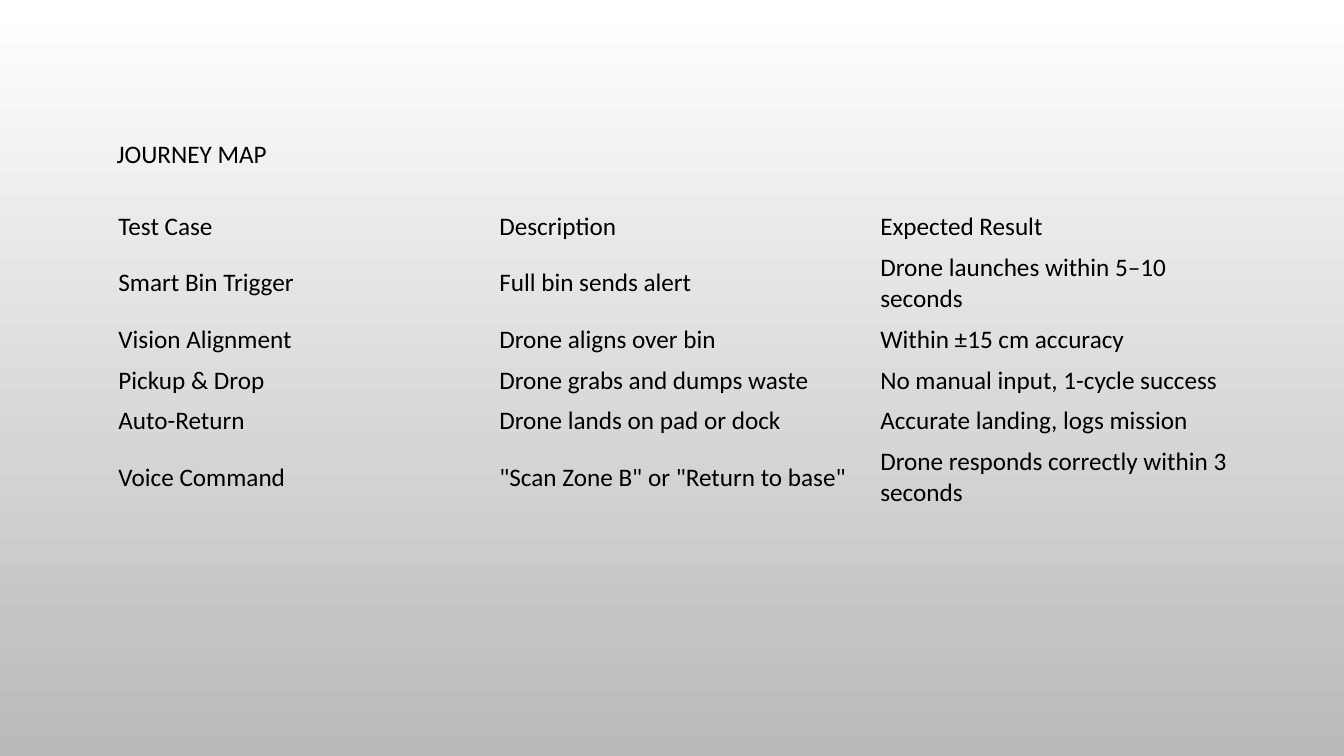
from pptx import Presentation
from pptx.dml.color import RGBColor
from pptx.enum.text import MSO_ANCHOR, MSO_AUTO_SIZE
from pptx.oxml.ns import qn
from pptx.util import Cm, Pt

BLACK = RGBColor(0x00, 0x00, 0x00)
WHITE = RGBColor(0xFF, 0xFF, 0xFF)
GREY = RGBColor(0xB9, 0xB9, 0xB9)
NO_STYLE_NO_GRID = "{2D5ABB26-0587-4C30-8999-92F81FD0307C}"
LINE_HEIGHT = 0.78
ROW_PADDING = 0.25

TEST_CASES = [
    ("Test Case", "Description", "Expected Result"),
    ("Smart Bin Trigger", "Full bin sends alert", "Drone launches within 5–10 seconds"),
    ("Vision Alignment", "Drone aligns over bin", "Within ±15 cm accuracy"),
    ("Pickup & Drop", "Drone grabs and dumps waste", "No manual input, 1-cycle success"),
    ("Auto-Return", "Drone lands on pad or dock", "Accurate landing, logs mission"),
    ("Voice Command", '"Scan Zone B" or "Return to base"', "Drone responds correctly within 3 seconds"),
]
LINES_PER_ROW = [1, 2, 1, 1, 1, 2]


def write(frame, text, font="Calibri", size=18, color=BLACK):
    paragraph = frame.paragraphs[0]
    run = paragraph.add_run()
    run.text = text
    run.font.name = font
    run.font.size = Pt(size)
    run.font.color.rgb = color


class SlideBuilder:
    def __init__(self, slide, font, size, color):
        self.slide = slide
        self.text_format = {"font": font, "size": size, "color": color}

    def background(self, top_color, bottom_color):
        fill = self.slide.background.fill
        fill.gradient()
        fill.gradient_angle = 270
        for stop, position, color in zip(fill.gradient_stops, (0, 1), (top_color, bottom_color)):
            stop.position = position
            stop.color.rgb = color

    def heading(self, text, left, top, width, height):
        heading = self.slide.shapes.add_textbox(Cm(left), Cm(top), Cm(width), Cm(height))
        frame = heading.text_frame
        frame.word_wrap = True
        frame.auto_size = MSO_AUTO_SIZE.SHAPE_TO_FIT_TEXT
        frame.margin_left = Cm(0.4)
        write(frame, text, **self.text_format)

    def table(self, rows, lines_per_row, left, top, column_width):
        heights = [lines * LINE_HEIGHT + ROW_PADDING for lines in lines_per_row]
        columns = len(rows[0])
        table = self.slide.shapes.add_table(
            len(rows), columns, Cm(left), Cm(top), Cm(columns * column_width), Cm(sum(heights))
        ).table
        table.first_row = False
        table.horz_banding = False
        table._tbl.tblPr.find(qn("a:tableStyleId")).text = NO_STYLE_NO_GRID
        for column in table.columns:
            column.width = Cm(column_width)
        for row, height, texts in zip(table.rows, heights, rows):
            row.height = Cm(height)
            for cell, text in zip(row.cells, texts):
                cell.fill.background()
                cell.vertical_anchor = MSO_ANCHOR.MIDDLE
                write(cell.text_frame, text, **self.text_format)


def main():
    presentation = Presentation()
    presentation.slide_width = Cm(33.87)
    presentation.slide_height = Cm(19.05)
    slide = presentation.slides.add_slide(presentation.slide_layouts[6])
    journey_map = SlideBuilder(slide, font="Calibri", size=18, color=BLACK)
    journey_map.background(WHITE, GREY)
    journey_map.table(TEST_CASES, LINES_PER_ROW, left=2.73, top=5.2, column_width=9.6)
    journey_map.heading("JOURNEY MAP", left=2.54, top=3.35, width=20.9, height=1.03)
    presentation.save("out.pptx")


if __name__ == "__main__":
    main()
